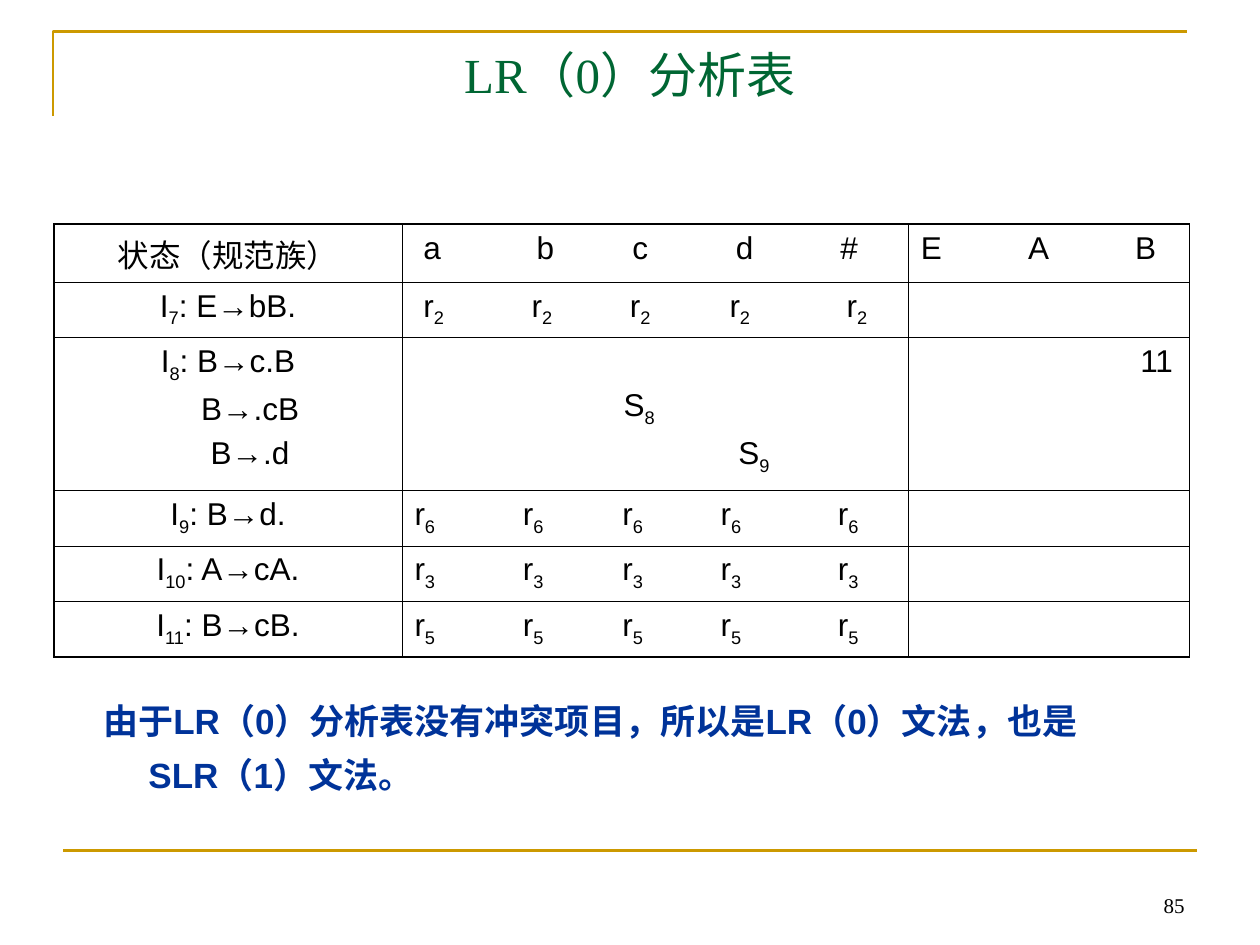
from lxml.etree import SubElement as Sub
from pptx import Presentation
from pptx.dml.color import RGBColor
from pptx.enum.shapes import MSO_CONNECTOR as Conn
from pptx.enum.text import MSO_ANCHOR as Anchor, PP_ALIGN as Align
from pptx.oxml import parse_xml
from pptx.oxml.ns import nsdecls, qn
from pptx.util import Inches, Pt

GOLD = RGBColor(0xCC, 0x99, 0x00)
GREEN = RGBColor(0x00, 0x66, 0x33)
BLUE = RGBColor(0x00, 0x33, 0x99)
BLACK = RGBColor(0, 0, 0)
THIN, THICK = Pt(0.45), Pt(1.08)


def write(para, text, style, stops=()):
    """Fill a paragraph; parts between underscores are subscripts."""
    if stops:
        tabs = Sub(para._p.get_or_add_pPr(), qn("a:tabLst"))
        for stop in stops:
            Sub(tabs, qn("a:tab"), pos=str(Inches(stop)), algn="l")
    for i, part in enumerate(text.split("_")):
        if not part:
            continue
        run = para.add_run()
        run.text = part
        for key, val in style.items():
            if key == "color":
                run.font.color.rgb = val
            else:
                setattr(run.font, key, val)
        if i % 2:
            run._r.get_or_add_rPr().set("baseline", "-25000")


def edge(cell, widths):
    """Draw the left, right, top and bottom borders of a cell."""
    props = cell._tc.get_or_add_tcPr()
    for i, (side, width) in enumerate(zip("LRTB", widths)):
        props.insert(i, parse_xml(
            f'<a:ln{side} {nsdecls("a")} w="{width}"><a:solidFill>'
            f'<a:srgbClr val="{BLACK}"/></a:solidFill></a:ln{side}>'))


deck = Presentation()
deck.slide_width, deck.slide_height = Inches(10), Inches(7.5)
slide = deck.slides.add_slide(deck.slide_layouts[6])
shapes = slide.shapes

# Gold corner and bottom rule
pen = shapes.build_freeform(Inches(0.42), Inches(0.92))
pen.add_line_segments([(Inches(0.42), Inches(0.25)),
                       (Inches(9.42), Inches(0.25))], close=False)
corner = pen.convert_to_shape()
corner.shadow.inherit = False
corner.fill.background()
rule = shapes.add_connector(Conn.STRAIGHT, Inches(0.5), Inches(6.75),
                            Inches(9.5), Inches(6.75))
Sub(rule._element.spPr, qn("a:effectLst"))
for shape in (corner, rule):
    shape.line.color.rgb = GOLD
    shape.line.width = Pt(1.5)

# Page number, title and conclusion
serif, sans = "Times New Roman", "Arial"
boxes = [
    ("85", (7.17, 6.83, 2.33, 0.5), Anchor.BOTTOM, {"alignment": Align.RIGHT},
     {"name": serif, "size": Pt(12), "color": BLACK}),
    ("LR（0）分析表", (0.5, 0.3, 9, 1.25), Anchor.TOP, {"alignment": Align.CENTER},
     {"name": serif, "size": Pt(28), "color": GREEN}),
    ("由于LR（0）分析表没有冲突项目，所以是LR（0）文法，也是SLR（1）文法。",
     (0.35, 5.4, 8.58, 0.97), Anchor.TOP, {"line_spacing": 1.3},
     {"name": sans, "size": Pt(20), "color": BLUE, "bold": True}),
]
for text, place, anchor, layout, style in boxes:
    frame = shapes.add_textbox(*map(Inches, place)).text_frame
    frame.word_wrap = True
    frame.vertical_anchor = anchor
    para = frame.paragraphs[0]
    for key, val in layout.items():
        setattr(para, key, val)
    write(para, text, style)
# Hanging indent of the conclusion, the last box
props = para._p.get_or_add_pPr()
props.set("marL", str(Inches(0.73)))
props.set("indent", str(Inches(-0.36)))

# Parsing table: each cell is a list of lines, each line (text, tab stops)
heads = (0.07, 0.97, 1.73, 2.55, 3.38)
shifts = (0.07, 0.93, 1.71, 2.5, 3.43)
drops = (0.86, 1.65, 2.43, 3.36)
gotos = (0.85, 1.7)
rows = [
    (["状态（规范族）"], [("\ta\tb\tc\td\t#", heads)], [("E\tA\tB", gotos)]),
    (["I_7_: E→bB."], [("\tr_2_" * 5, shifts)], []),
    (["I_8_: B→c.B", "B→.cB", "B→.d"],
     [("\tS_8", (1.66,)), ("\tS_9", (2.57,))], [("\t11", (1.74,))]),
]
for state, item, num in ((9, "B→d.", 6), (10, "A→cA.", 3), (11, "B→cB.", 5)):
    acts = "\t".join([f"r_{num}_"] * 5)
    rows.append(([f"I_{state}_: {item}"], [(acts, drops)], []))

table = shapes.add_table(6, 3, Inches(0.43), Inches(1.78),
                         Inches(9), Inches(3.32)).table
table.first_row = table.horz_banding = False
for col, width in zip(table.columns, (2.76, 4.02, 2.23)):
    col.width = Inches(width)
for row, height in zip(table.rows, (0.46, 0.44, 1.21, 0.44, 0.44, 0.44)):
    row.height = Inches(height)

style = {"name": sans, "size": Pt(18), "color": BLACK}
for r, row in enumerate(rows):
    for c, lines in enumerate(row):
        cell = table.cell(r, c)
        cell.fill.background()
        edge(cell, [THICK if outer else THIN
                    for outer in (c == 0, c == 2, r in (0, 5), r >= 4)])
        frame = cell.text_frame
        for i, line in enumerate(lines):
            para = frame.add_paragraph() if i else frame.paragraphs[0]
            if i:
                para.space_before = Pt(4.5)
            if c:
                write(para, line[0], style, line[1])
                continue
            para.alignment = Align.CENTER
            if i:
                para._p.get_or_add_pPr().set("marL", str(Inches(0.35)))
            write(para, line, style)

# The shift actions of I8 start level with its second item
table.cell(2, 1).margin_top = Inches(0.4)

deck.save("out.pptx")
